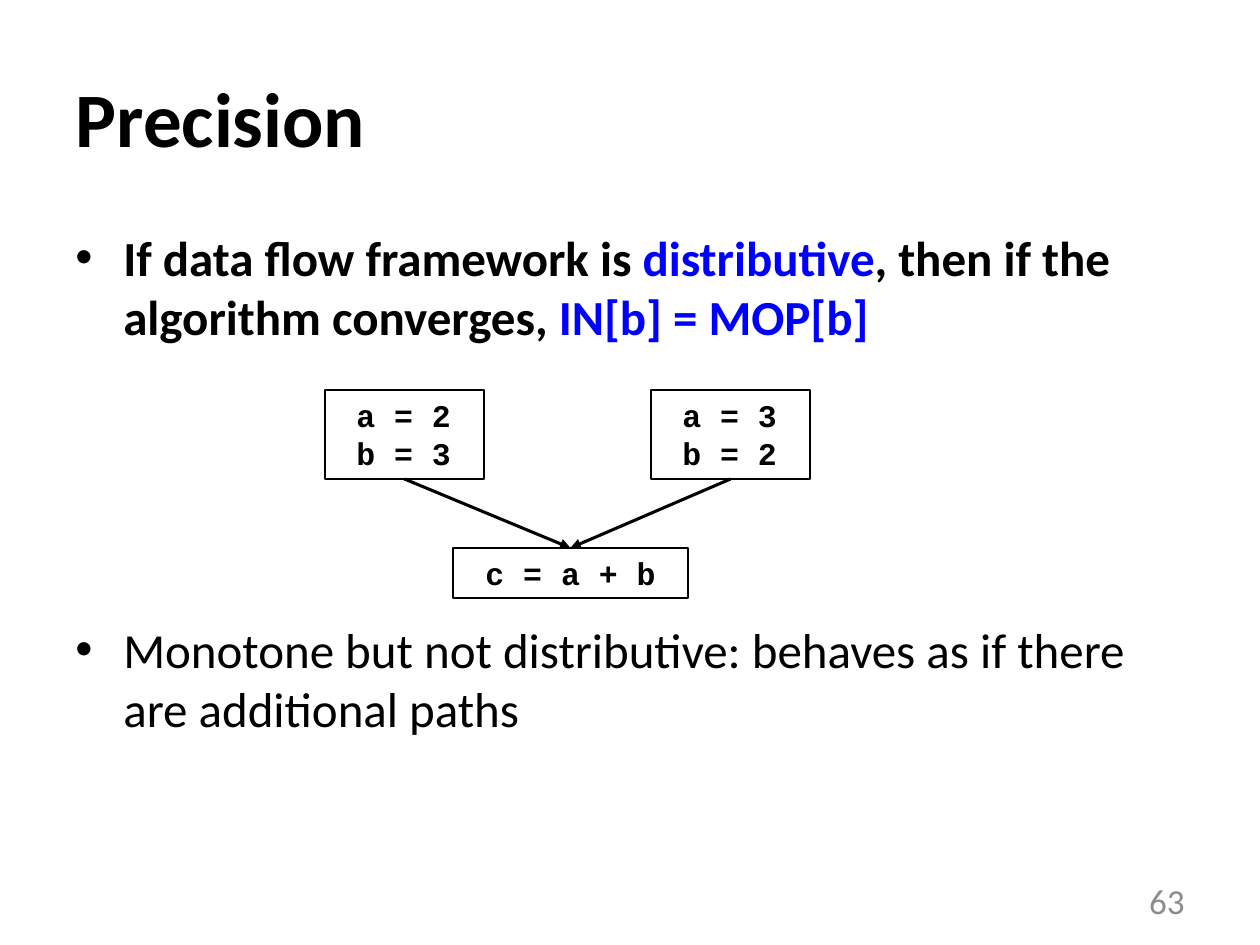
import pptx
import pptx.dml.color
import pptx.enum.shapes
import pptx.enum.text
import pptx.oxml
import pptx.oxml.ns
import pptx.util
from lxml import etree

PX = pptx.util.Inches(1) / 126
THEME = {
    "black": "000000", "blue": "0000FF", "grey": "8C8C8C",
    "text_font": "Calibri", "code_font": "Courier New",
    "title": 44, "body": 28, "number": 20, "code": 18,
    "box_line": 1, "arrow_line": 1.75,
}

TITLE = "Precision"
TITLE_AREA = (63, 38, 1134, 157)
BODY_AREA = (63, 221, 1134, 623)
NUMBER = "63"
NUMBER_AREA = (903, 876, 294, 50)
DIAGRAM_GAP = 157  # points left free between the bullets

CLAIM = [
    ("If data flow framework is ", "black"),
    ("distributive", "blue"),
    (", then if the algorithm converges, ", "black"),
    ("IN[b] = MOP[b]", "blue"),
]
CAVEAT = [("Monotone but not distributive: behaves as if there are additional paths", "black")]

BLOCKS = {
    "left branch": ((325, 390, 159, 89), [" a = 2", " b = 3"], "LEFT"),
    "right branch": ((651, 390, 159, 89), [" a = 3", " b = 2"], "LEFT"),
    "join": ((453, 548, 235, 50), [" c = a + b "], "CENTER"),
}
FLOWS = [("left branch", "join"), ("right branch", "join")]


def emu(area):
    return [round(value * PX) for value in area]


def rgb(color):
    return pptx.dml.color.RGBColor.from_string(THEME[color])


def write(paragraph, runs, size, font="text_font", bold=False, align="LEFT", before=0):
    """Fill a paragraph with (text, colour) runs sharing one format."""
    paragraph.alignment = getattr(pptx.enum.text.PP_ALIGN, align)
    paragraph.space_before = pptx.util.Pt(before)
    for text, color in runs:
        run = paragraph.add_run()
        run.text = text
        run.font.name = THEME[font]
        run.font.size = pptx.util.Pt(THEME[size])
        run.font.bold = bold
        run.font.color.rgb = rgb(color)


def add_bullet(paragraph):
    properties = paragraph._p.get_or_add_pPr()
    indent = round(48 * PX)
    properties.set("marL", str(indent))
    properties.set("indent", str(-indent))
    font = etree.SubElement(properties, pptx.oxml.ns.qn("a:buFont"))
    font.set("typeface", "Arial")
    etree.SubElement(properties, pptx.oxml.ns.qn("a:buChar")).set("char", "•")


def add_text_area(slide, area, anchor="TOP"):
    frame = slide.shapes.add_textbox(*emu(area)).text_frame
    frame.word_wrap = True
    frame.vertical_anchor = getattr(pptx.enum.text.MSO_ANCHOR, anchor)
    return frame


def add_block(slide, area, lines, align):
    shape = slide.shapes.add_shape(pptx.enum.shapes.MSO_SHAPE.RECTANGLE, *emu(area))
    shape.shadow.inherit = False
    shape.fill.background()
    shape.line.color.rgb = rgb("black")
    shape.line.width = pptx.util.Pt(THEME["box_line"])
    frame = shape.text_frame
    frame.word_wrap = True
    frame.vertical_anchor = pptx.enum.text.MSO_ANCHOR.TOP
    for index, line in enumerate(lines):
        paragraph = frame.add_paragraph() if index else frame.paragraphs[0]
        write(paragraph, [(line, "black")], "code", font="code_font", bold=True, align=align)
    return shape


def add_arrow(slide, source, target):
    """Join the bottom of one block to the top of another."""
    connector = slide.shapes.add_connector(
        pptx.enum.shapes.MSO_CONNECTOR.STRAIGHT, 0, 0, 0, 0)
    connector.begin_connect(source, 2)
    connector.end_connect(target, 0)
    connector.line.color.rgb = rgb("black")
    connector.line.width = pptx.util.Pt(THEME["arrow_line"])
    line = connector.line._get_or_add_ln()
    etree.SubElement(line, pptx.oxml.ns.qn("a:tailEnd")).set("type", "triangle")
    etree.SubElement(connector._element.spPr, pptx.oxml.ns.qn("a:effectLst"))


def main():
    presentation = pptx.Presentation()
    presentation.slide_width = pptx.util.Inches(10)
    presentation.slide_height = pptx.util.Inches(7.5)
    slide = presentation.slides.add_slide(presentation.slide_layouts[5])

    title = slide.shapes.title
    title.left, title.top, title.width, title.height = emu(TITLE_AREA)
    title.text_frame.vertical_anchor = pptx.enum.text.MSO_ANCHOR.MIDDLE
    write(title.text_frame.paragraphs[0], [(TITLE, "black")], "title", bold=True)

    body = add_text_area(slide, BODY_AREA)
    claim, caveat = body.paragraphs[0], body.add_paragraph()
    write(claim, CLAIM, "body", bold=True)
    write(caveat, CAVEAT, "body", before=DIAGRAM_GAP)
    for paragraph in (claim, caveat):
        add_bullet(paragraph)

    number = add_text_area(slide, NUMBER_AREA, anchor="MIDDLE")
    write(number.paragraphs[0], [(NUMBER, "grey")], "number", align="RIGHT")

    blocks = {name: add_block(slide, *block) for name, block in BLOCKS.items()}
    for source, target in FLOWS:
        add_arrow(slide, blocks[source], blocks[target])

    presentation.save("out.pptx")


if __name__ == "__main__":
    main()
